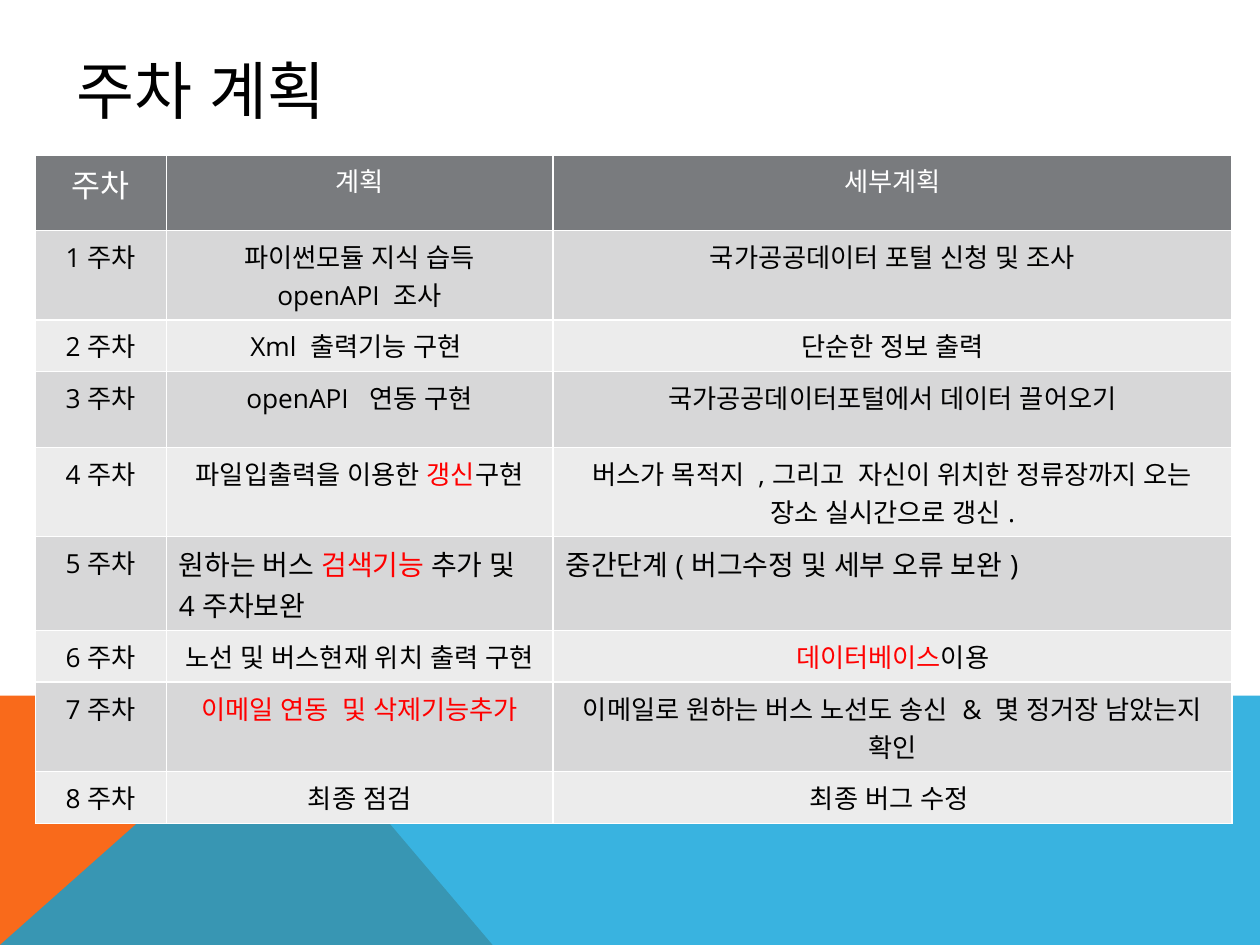
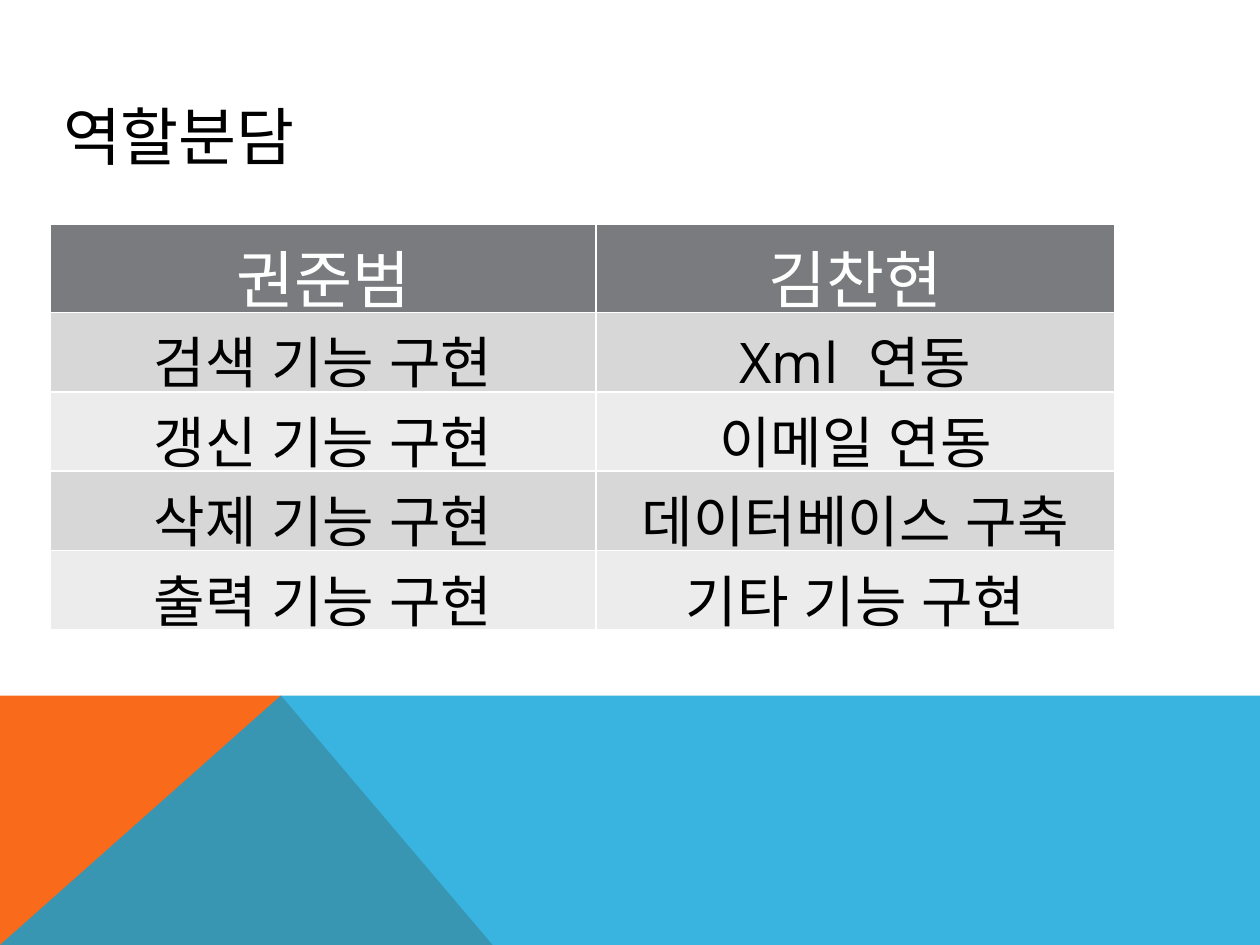
from lxml import etree
from pptx import Presentation
from pptx import util as u
from pptx.dml.color import RGBColor
from pptx.enum import text
from pptx.oxml import parse_xml
from pptx.oxml.ns import nsdecls, qn

FONT = "Open Sans"
LINE_SPACING = 1.07
WHITE = RGBColor(0xFF, 0xFF, 0xFF)
BLACK = RGBColor(0, 0, 0)
RED = RGBColor(0xFF, 0, 0)
ORANGE = RGBColor(0xF9, 0x6A, 0x1B)
BLUE = RGBColor(0x08, 0xA1, 0xD9)
HEADER = RGBColor(0x79, 0x7B, 0x7E)
BANDS = [RGBColor(0xEC, 0xEC, 0xEC), RGBColor(0xD7, 0xD7, 0xD8)]

PLAN = [
    ["주차", "계획", "세부계획"],
    ["1주차", "파이썬모듈 지식 습득\nopenAPI 조사", "국가공공데이터 포털 신청 및 조사"],
    ["2주차", "Xml 출력기능 구현 ", "단순한 정보 출력"],
    ["3주차", "openAPI  연동 구현", "국가공공데이터포털에서 데이터 끌어오기"],
    ["4주차", "파일입출력을 이용한 *갱신*구현",
     "버스가 목적지 ,그리고  자신이 위치한 정류장까지 오는 장소 실시간으로 갱신."],
    ["5주차", "원하는 버스 *검색기능* 추가 및 4주차보완",
     "중간단계(버그수정 및 세부 오류 보완)"],
    ["6주차", "노선 및 버스현재 위치 출력 구현", "*데이터베이스*이용"],
    ["7주차", "*이메일 연동  및 삭제기능추가*",
     "이메일로 원하는 버스 노선도 송신 & 몇 정거장 남았는지 확인"],
    ["8주차", "최종 점검", "최종 버그 수정 "],
]
ROLES = [
    ["권준범", "김찬현"],
    ["검색 기능 구현", "Xml 연동"],
    ["갱신 기능 구현", "이메일 연동"],
    ["삭제 기능 구현", "데이터베이스 구축"],
    ["출력 기능 구현", "기타 기능 구현"],
]


def add_run(p, words, size, color):
    r = p.add_run()
    r.text = words
    r.font.size = u.Pt(size)
    r.font.bold = False
    r.font.color.rgb = color
    r.font.name = FONT
    etree.SubElement(r.font._element, qn("a:ea")).set("typeface", FONT)


def add_band(s, points, color, alpha=100):
    corners = [(u.Inches(x), u.Inches(y)) for x, y in points]
    builder = s.shapes.build_freeform(*corners[0])
    builder.add_line_segments(corners[1:], close=True)
    sp = builder.convert_to_shape()
    sp.shadow.inherit = False
    sp.line.fill.background()
    sp.fill.solid()
    sp.fill.fore_color.rgb = color
    if alpha < 100:
        clr = sp._element.spPr.find(".//" + qn("a:srgbClr"))
        etree.SubElement(clr, qn("a:alpha")).set("val", str(alpha * 1000))


def add_slide(prs, title, box):
    s = prs.slides.add_slide(prs.slide_layouts[5])
    sp = s.shapes.title
    sp.left, sp.top, sp.width, sp.height = map(u.Inches, box)
    tf = sp.text_frame
    tf.word_wrap = True
    tf.auto_size = text.MSO_AUTO_SIZE.NONE
    tf.vertical_anchor = text.MSO_ANCHOR.TOP
    p = tf.paragraphs[0]
    p.alignment = text.PP_ALIGN.LEFT
    add_run(p, title, 36, BLACK)
    add_band(s, [(0, 7.5), (0, 5.52), (2.23, 5.52), (3.91, 7.5)], ORANGE)
    add_band(s, [(0, 7.5), (2.23, 5.52), (10, 5.52), (10, 7.5)], BLUE, 80)
    return s


def add_borders(cell):
    tcPr = cell._tc.get_or_add_tcPr()
    for side in "LRTB":
        tcPr.append(parse_xml(
            f'<a:ln{side} {nsdecls("a")} w="{u.Pt(1)}"><a:solidFill>'
            f'<a:srgbClr val="{WHITE}"/></a:solidFill></a:ln{side}>'))


def fill_cell(cell, words, size, color, fill, align):
    add_borders(cell)
    cell.fill.solid()
    cell.fill.fore_color.rgb = fill
    tf = cell.text_frame
    for i, line in enumerate(words.split("\n")):
        p = tf.add_paragraph() if i else tf.paragraphs[0]
        p.alignment = align
        p.line_spacing = LINE_SPACING
        for j, part in enumerate(line.split("*")):
            if part:
                add_run(p, part, size, RED if j % 2 else color)


def add_grid(s, box, rows, widths, heights, size_of, left_cells=(), margin_bottom=0.05):
    frame = s.shapes.add_table(len(rows), len(widths), *map(u.Inches, box))
    table = frame.table
    table.first_row = table.horz_banding = False
    for col, width in zip(table.columns, widths):
        col.width = u.Inches(width)
    for row, height in zip(table.rows, heights):
        row.height = u.Inches(height)
    frame.height = u.Inches(box[3])
    for i, row in enumerate(rows):
        color, fill = (BLACK, BANDS[i % 2]) if i else (WHITE, HEADER)
        for j, words in enumerate(row):
            cell = table.cell(i, j)
            cell.margin_bottom = u.Inches(margin_bottom)
            align = text.PP_ALIGN.LEFT if (i, j) in left_cells else text.PP_ALIGN.CENTER
            fill_cell(cell, words, size_of(i, j), color, fill, align)


def plan_slide(prs):
    s = add_slide(prs, "주차 계획", (0.51, 0.36, 3.86, 0.71))
    special = {(0, 0): 18, (5, 1): 16, (5, 2): 16}
    heights = [0.6 if i in (0, 3) else 0.41 for i in range(len(PLAN))]
    add_grid(s, (0.28, 1.23, 9.5, 5.04), PLAN, [1.04, 3.07, 5.39], heights,
             lambda i, j: special.get((i, j), 15), [(5, 1), (5, 2)])


def roles_slide(prs):
    s = add_slide(prs, "역할분담", (0.4, 0.72, 4.49, 0.71))
    add_grid(s, (0.4, 1.78, 8.46, 3.23), ROLES, [4.33, 4.12],
             [0.7] + [0.63] * 4, lambda i, j: 32 if i else 36,
             margin_bottom=-0.1)


prs = Presentation()
prs.slide_width, prs.slide_height = u.Inches(10), u.Inches(7.5)
plan_slide(prs)
roles_slide(prs)
prs.save("out.pptx")
